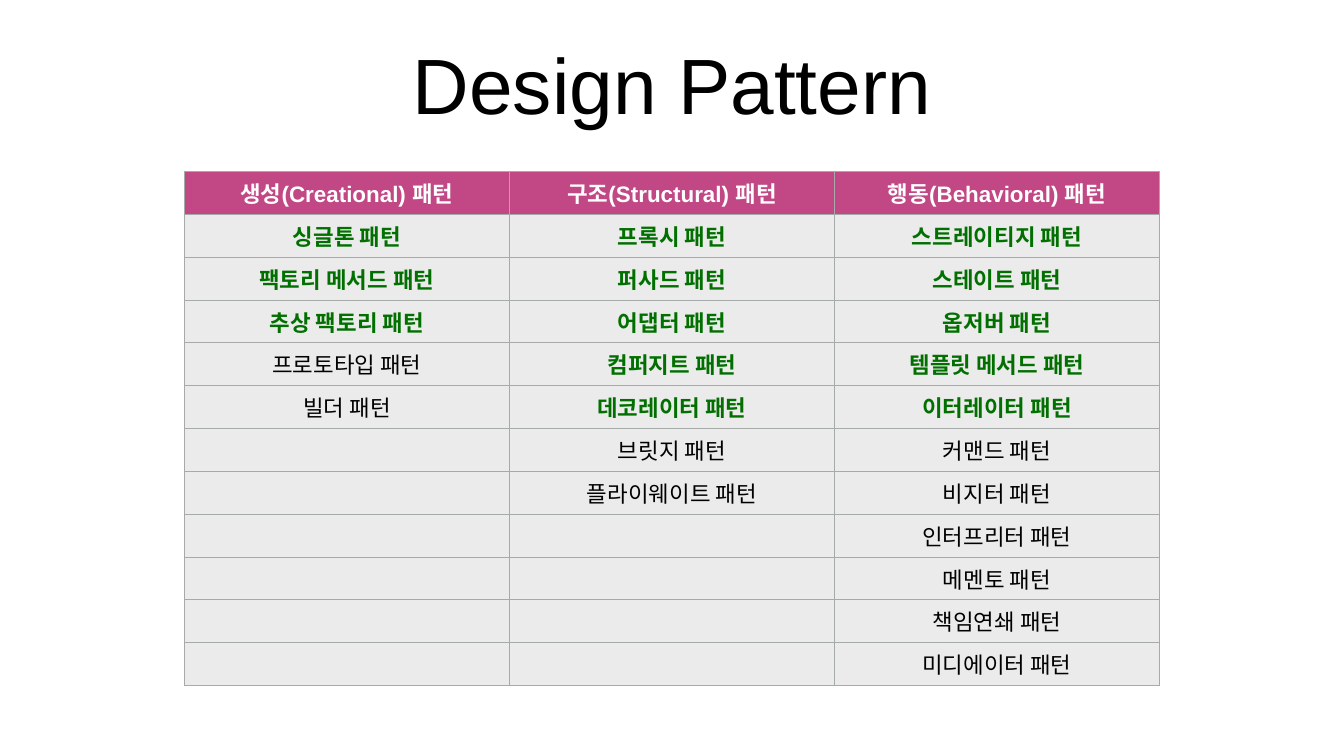
from itertools import zip_longest

from lxml.etree import SubElement
from pptx import Presentation
from pptx.dml.color import RGBColor
from pptx.enum.text import MSO_ANCHOR, PP_ALIGN
from pptx.oxml.ns import qn
from pptx.util import Emu, Pt

EMU_PER_PX = 9144
FONT = "Arial"
INSET = 6
COLUMN_WIDTH = 645
ROW_HEIGHT = 85
COLORS = {
    "header": "C24785",
    "body": "EBEBEB",
    "border": "A6AAA9",
    "white": "FFFFFF",
    "highlight": "027001",
    "black": "000000",
}
PATTERNS = {
    "생성(Creational) 패턴": {
        "highlighted": ["싱글톤", "팩토리 메서드", "추상 팩토리"],
        "other": ["프로토타입", "빌더"],
    },
    "구조(Structural) 패턴": {
        "highlighted": ["프록시", "퍼사드", "어댑터", "컴퍼지트", "데코레이터"],
        "other": ["브릿지", "플라이웨이트"],
    },
    "행동(Behavioral) 패턴": {
        "highlighted": ["스트레이티지", "스테이트", "옵저버", "템플릿 메서드", "이터레이터"],
        "other": ["커맨드", "비지터", "인터프리터", "메멘토", "책임연쇄", "미디에이터"],
    },
}


def px(length):
    return Emu(length * EMU_PER_PX)


def color(name):
    return RGBColor.from_string(COLORS[name])


def set_insets(holder):
    holder.margin_left = holder.margin_right = px(INSET)
    holder.margin_top = holder.margin_bottom = px(INSET)
    holder.vertical_anchor = MSO_ANCHOR.MIDDLE


def write(frame, text, size, color_name, bold=False):
    paragraph = frame.paragraphs[0]
    paragraph.text = text
    paragraph.alignment = PP_ALIGN.CENTER
    paragraph.font.name = FONT
    paragraph.font.size = Pt(size)
    paragraph.font.bold = bold
    paragraph.font.color.rgb = color(color_name)


def add_title(page, text):
    box = page.shapes.add_textbox(px(185), px(39), px(2297), px(250))
    frame = box.text_frame
    frame.word_wrap = True
    set_insets(frame)
    write(frame, text, 112, "black")


def add_borders(cell):
    properties = cell._tc.get_or_add_tcPr()
    for side in ("a:lnL", "a:lnR", "a:lnT", "a:lnB"):
        line = SubElement(properties, qn(side), w=str(Pt(1)))
        fill = SubElement(line, qn("a:solidFill"))
        SubElement(fill, qn("a:srgbClr"), val=COLORS["border"])


def style_cell(cell, fill_name):
    set_insets(cell)
    add_borders(cell)
    cell.fill.solid()
    cell.fill.fore_color.rgb = color(fill_name)


def pattern_column(heading, groups):
    entries = [(heading, "white", True)]
    entries += [(f"{name} 패턴", "highlight", True) for name in groups["highlighted"]]
    entries += [(f"{name} 패턴", "black", False) for name in groups["other"]]
    return entries


def add_pattern_table(page):
    columns = [pattern_column(heading, groups) for heading, groups in PATTERNS.items()]
    rows = list(zip_longest(*columns))
    table = page.shapes.add_table(
        len(rows), len(columns), px(366), px(340),
        px(COLUMN_WIDTH * len(columns)), px(ROW_HEIGHT * len(rows)),
    ).table
    table.horz_banding = False
    for column in table.columns:
        column.width = px(COLUMN_WIDTH)
    for row_index, entries in enumerate(rows):
        table.rows[row_index].height = px(ROW_HEIGHT)
        for column_index, entry in enumerate(entries):
            cell = table.cell(row_index, column_index)
            style_cell(cell, "body" if row_index else "header")
            if entry:
                text, color_name, bold = entry
                write(cell.text_frame, text, 32, color_name, bold)


def main():
    deck = Presentation()
    deck.slide_width, deck.slide_height = px(2667), px(1500)
    page = deck.slides.add_slide(deck.slide_layouts[6])
    page.background.fill.solid()
    page.background.fill.fore_color.rgb = color("white")
    add_title(page, "Design Pattern")
    add_pattern_table(page)
    deck.save("out.pptx")


if __name__ == "__main__":
    main()
